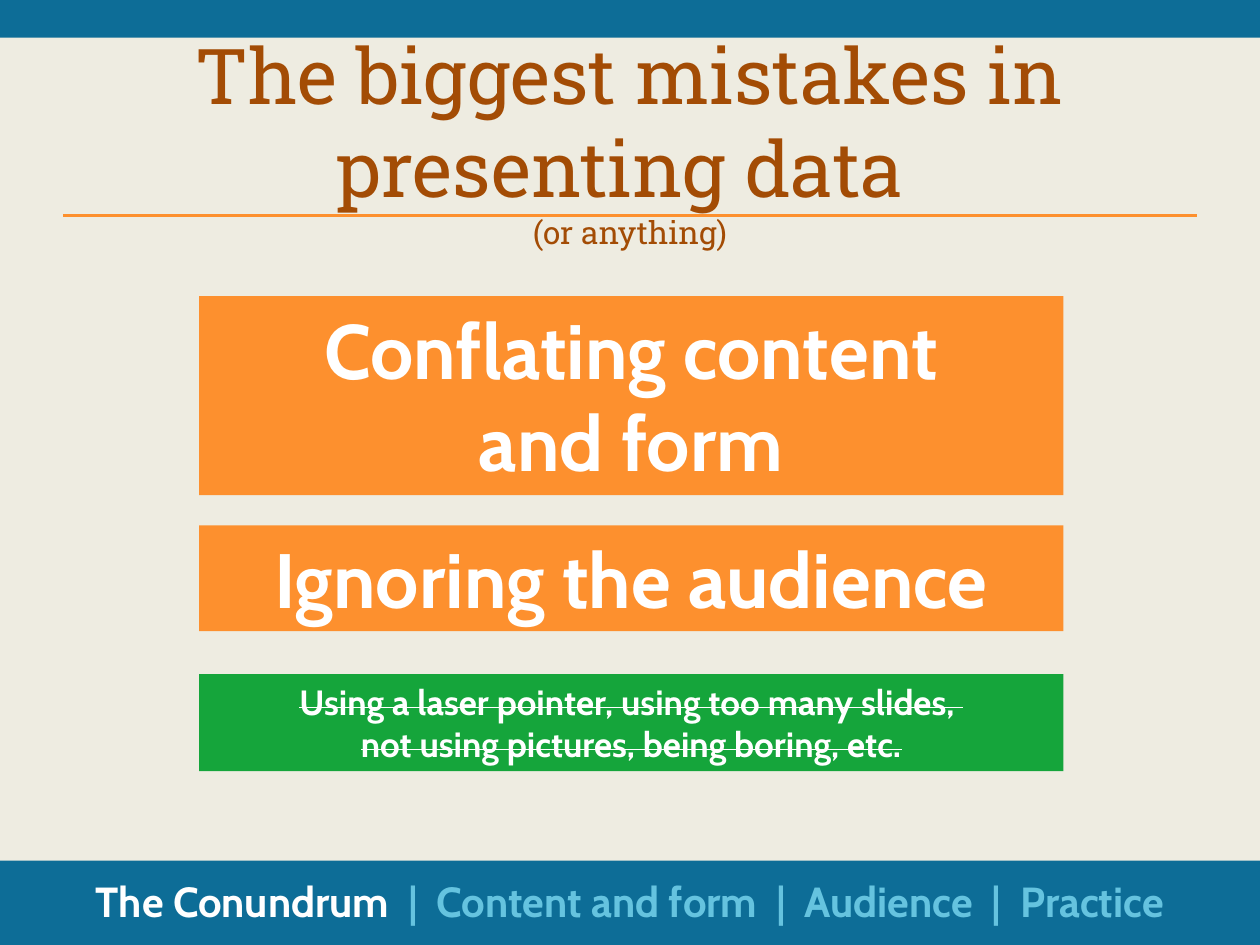
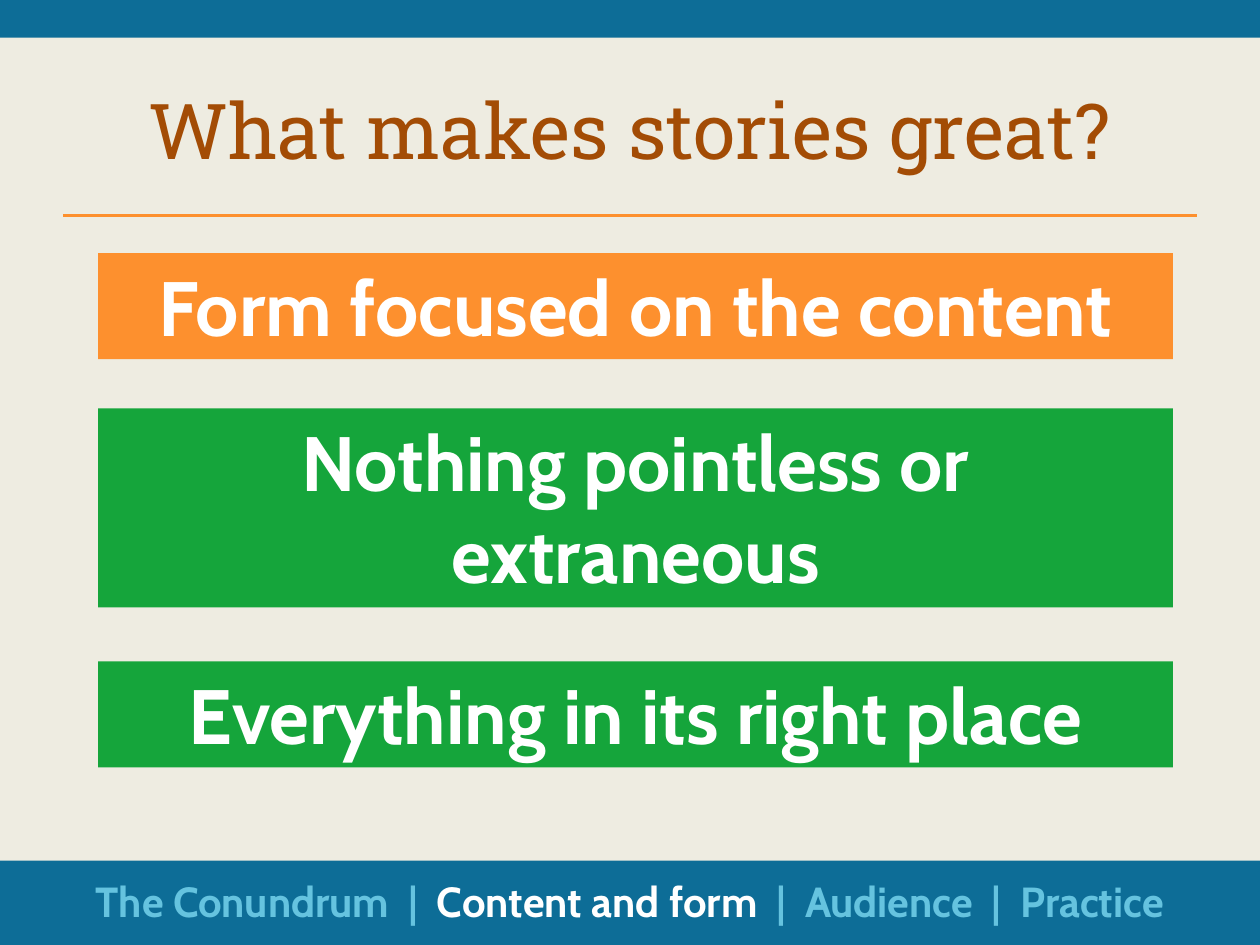
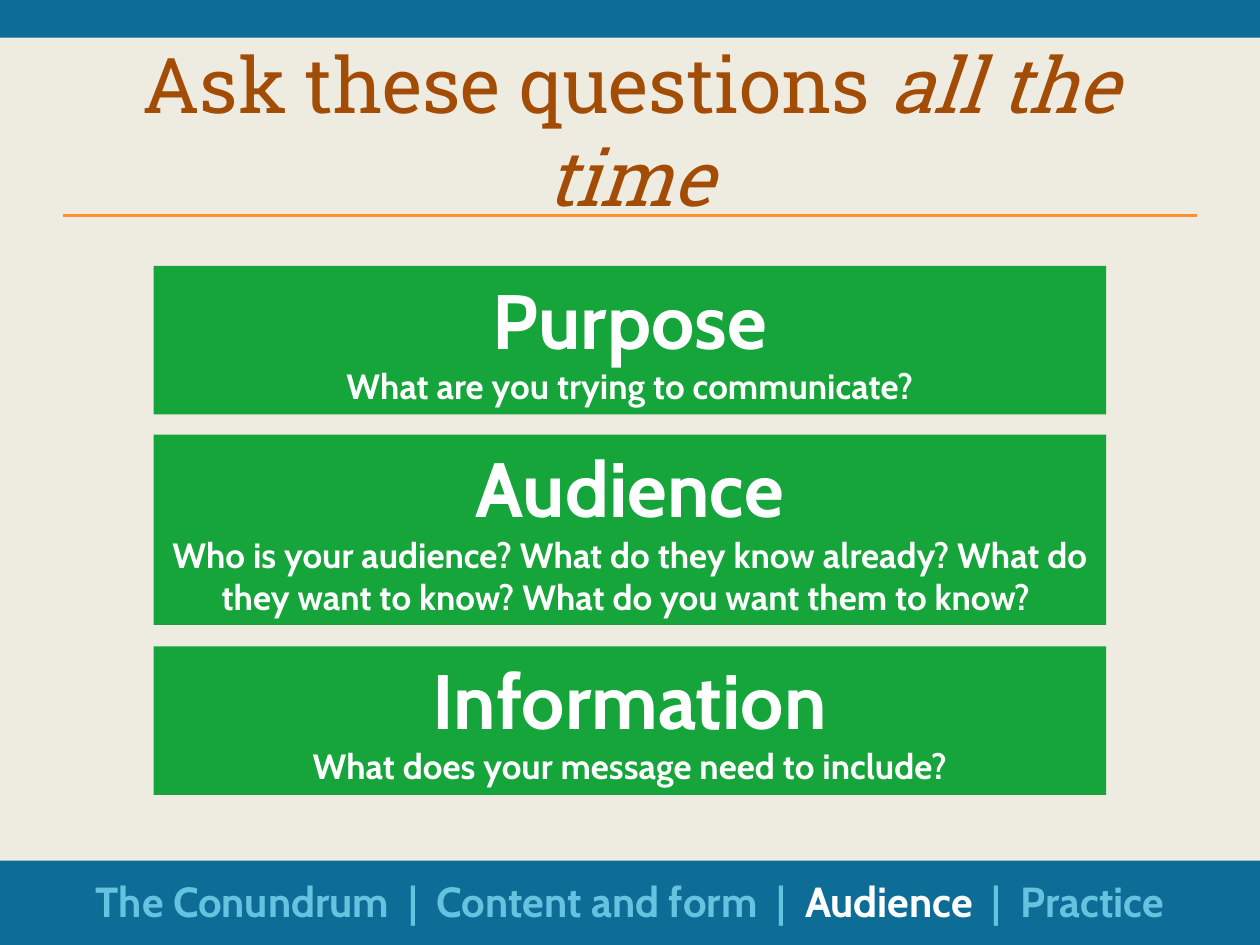
from dataclasses import dataclass

from lxml import etree
from pptx import Presentation
from pptx.dml.color import RGBColor
from pptx.enum.shapes import MSO_CONNECTOR, MSO_SHAPE
from pptx.enum.text import MSO_ANCHOR, MSO_AUTO_SIZE, PP_ALIGN
from pptx.oxml.ns import qn
from pptx.util import Inches, Pt

RECTANGLE = MSO_SHAPE.RECTANGLE
STRAIGHT = MSO_CONNECTOR.STRAIGHT
CENTER = PP_ALIGN.CENTER
TOP, MIDDLE = MSO_ANCHOR.TOP, MSO_ANCHOR.MIDDLE
GROW = MSO_AUTO_SIZE.SHAPE_TO_FIT_TEXT


@dataclass(frozen=True)
class Theme:
    paper: RGBColor = RGBColor.from_string("EEECE1")
    band: RGBColor = RGBColor.from_string("0D6D97")
    orange: RGBColor = RGBColor.from_string("FD902E")
    green: RGBColor = RGBColor.from_string("15A53B")
    title: RGBColor = RGBColor.from_string("A34C05")
    white: RGBColor = RGBColor.from_string("FFFFFF")
    muted: RGBColor = RGBColor.from_string("65C3DF")
    title_face: str = "Roboto Slab"
    body_face: str = "Cabin"
    large: int = 44
    footer: int = 24
    small: int = 20
    aside: int = 18


@dataclass(frozen=True)
class Span:
    """A stretch of text with only what differs from its paragraph."""
    text: str
    size: int | None = None
    color: RGBColor | None = None
    italic: bool | None = None
    strike: bool = False


theme = Theme()
WIDTH, HEIGHT = 10, 7.5
MARGIN = WIDTH * 0.05
CONTENT_WIDTH = WIDTH - 2 * MARGIN
TOP_BAND = HEIGHT * 0.04
FOOTER_TOP = 6.83
RULE_Y = 1.71
TITLE_TOP = 0.5
SECTIONS = ["The Conundrum", "Content and form", "Audience", "Practice"]


def add_rectangle(page, left, top, width, height, color):
    box = page.shapes.add_shape(
        RECTANGLE, Inches(left), Inches(top), Inches(width), Inches(height))
    box.shadow.inherit = False
    box.fill.solid()
    box.fill.fore_color.rgb = color
    box.line.fill.background()
    return box


def write(box, lines, face, size, color, bold=False, anchor=TOP):
    """Fill a box with one centred paragraph; each line is a list of spans."""
    frame = box.text_frame
    frame.word_wrap = True
    frame.vertical_anchor = anchor
    frame.auto_size = GROW if anchor == TOP else MSO_AUTO_SIZE.NONE
    para = frame.paragraphs[0]
    para.alignment = CENTER
    para.font.name = face
    para.font.size = Pt(size)
    para.font.color.rgb = color
    para.font.bold = bold
    for number, spans in enumerate(lines):
        if number:
            para.add_line_break()
        for span in spans:
            run = para.add_run()
            run.text = span.text
            run.font.italic = span.italic
            if span.size:
                run.font.size = Pt(span.size)
            if span.color:
                run.font.color.rgb = span.color
            if span.strike:
                run._r.get_or_add_rPr().set("strike", "sngStrike")


def question(heading, prompt):
    return [[Span(heading)], [Span(prompt, size=theme.small)]]


# Bars: top, height, colour, lines
slides = [
    dict(
        section="The Conundrum",
        title_top=0.58,
        title=[[Span("The biggest mistakes in presenting data ")],
               [Span("(or anything)", size=theme.aside)]],
        bar_left=1.58, bar_width=6.86,
        bars=[
            (2.35, 1.58, theme.orange,
             [[Span("Conflating content")], [Span("and form")]]),
            (4.17, 0.84, theme.orange, [[Span("Ignoring the audience")]]),
            (5.35, 0.77, theme.green,
             [[Span(text, size=theme.small, strike=True)] for text in (
                 "Using a laser pointer, using too many slides, ",
                 "not using pictures, being boring, etc.")]),
        ]),
    dict(
        section="Content and form",
        title_top=TITLE_TOP,
        title=[[Span("What makes stories great?")]],
        bar_left=0.78, bar_width=8.53,
        bars=[
            (2.01, 0.84, theme.orange, [[Span("Form focused on the content")]]),
            (3.24, 1.58, theme.green, [[Span("Nothing pointless or extraneous")]]),
            (5.25, 0.84, theme.green, [[Span("Everything in its right place")]]),
        ]),
    dict(
        section="Audience",
        title_top=TITLE_TOP,
        title=[[Span("Ask these questions "), Span("all the time", italic=True)]],
        bar_left=1.22, bar_width=7.56,
        bars=[
            (2.11, 1.18, theme.green,
             question("Purpose", "What are you trying to communicate?")),
            (3.45, 1.51, theme.green,
             question("Audience",
                      "Who is your audience? What do they know already? "
                      "What do they want to know? "
                      "What do you want them to know? ")),
            (5.13, 1.18, theme.green,
             question("Information", "What does your message need to include?")),
        ]),
]

deck = Presentation()
deck.slide_width, deck.slide_height = Inches(WIDTH), Inches(HEIGHT)
backdrop = deck.slide_master.background.fill
backdrop.solid()
backdrop.fore_color.rgb = theme.paper
blank = deck.slide_layouts[6]

for content in slides:
    page = deck.slides.add_slide(blank)

    add_rectangle(page, 0, FOOTER_TOP, WIDTH, HEIGHT - FOOTER_TOP, theme.band)
    add_rectangle(page, 0, 0, WIDTH, TOP_BAND, theme.band)
    rule = page.shapes.add_connector(
        STRAIGHT, Inches(MARGIN), Inches(RULE_Y),
        Inches(WIDTH - MARGIN), Inches(RULE_Y))
    rule.line.color.rgb = theme.orange
    rule.line.width = Pt(2)
    etree.SubElement(rule._element.spPr, qn("a:effectLst"))

    title = page.shapes.add_textbox(
        Inches(MARGIN), Inches(content["title_top"]),
        Inches(CONTENT_WIDTH), Inches(1.05))
    write(title, content["title"], theme.title_face, theme.large,
          theme.title, anchor=MIDDLE)

    for top, height, color, lines in content["bars"]:
        bar = add_rectangle(page, content["bar_left"], top,
                            content["bar_width"], height, color)
        write(bar, lines, theme.body_face, theme.large, theme.white, bold=True)

    trail = []
    for section in SECTIONS:
        if trail:
            trail.append(Span("  |  "))
        current = section == content["section"]
        trail.append(Span(section, color=theme.white if current else None))
    footer = page.shapes.add_textbox(
        Inches(MARGIN), Inches(6.9), Inches(CONTENT_WIDTH), Inches(0.5))
    write(footer, [trail], theme.body_face, theme.footer, theme.muted, bold=True)

deck.save("out.pptx")
